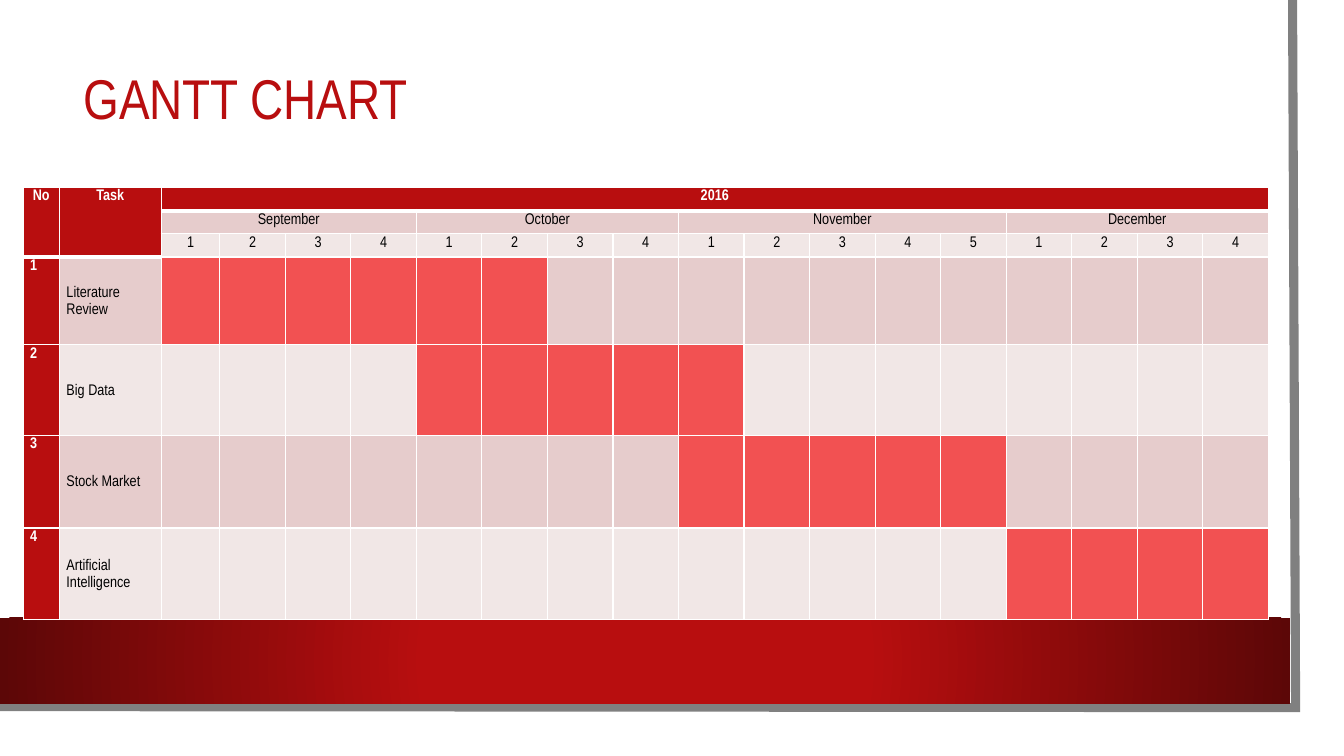
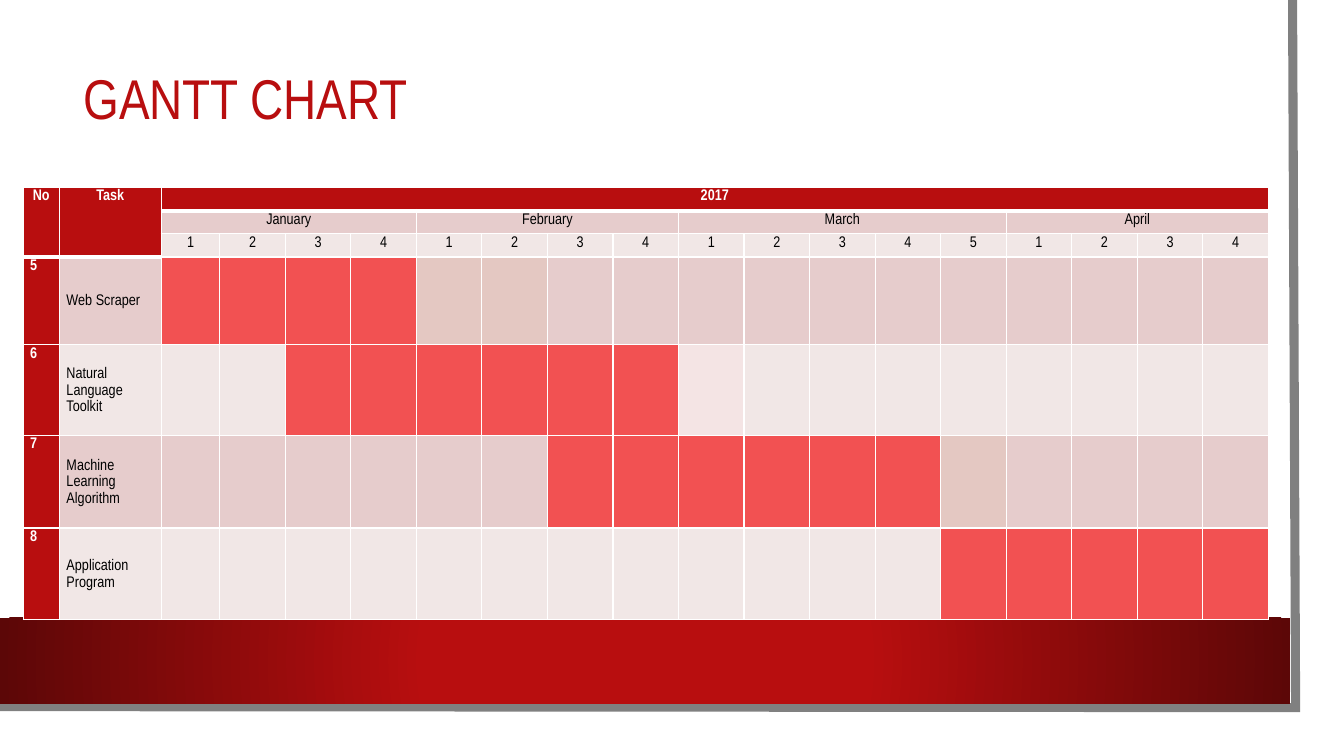
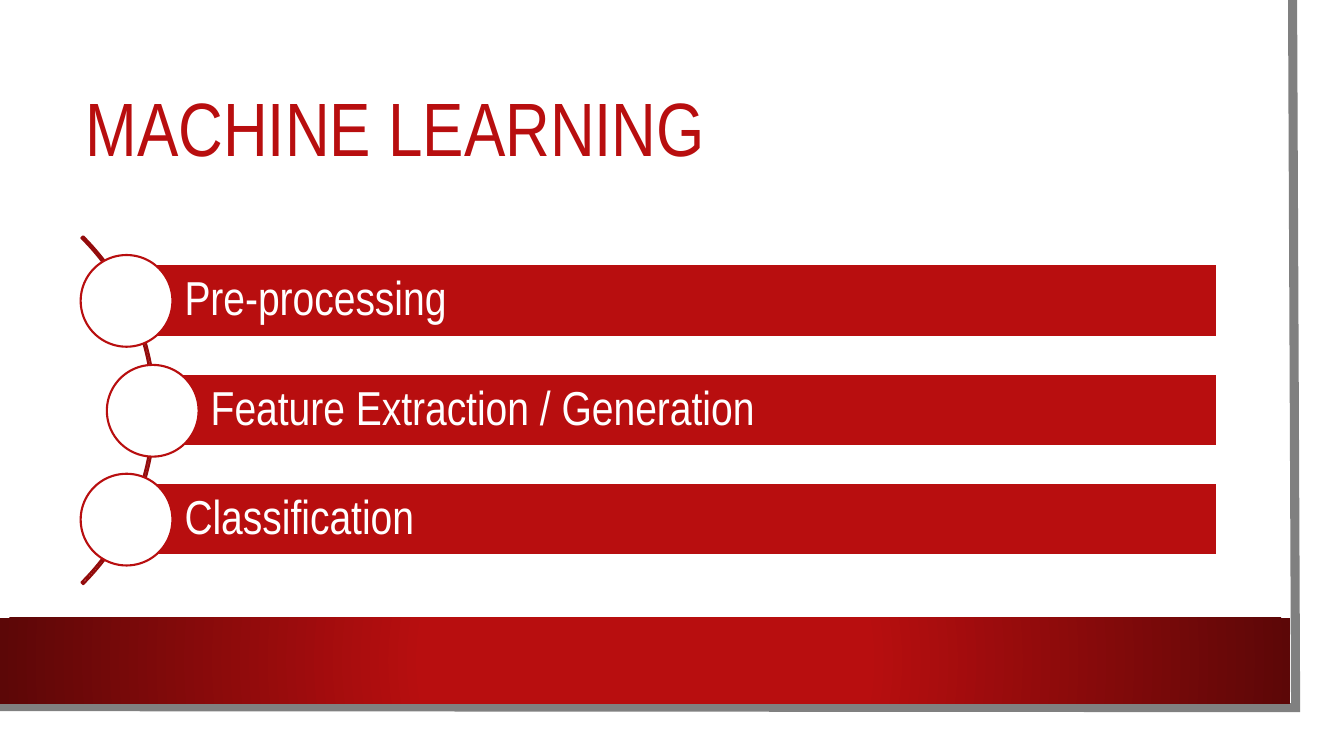
from lxml import etree
from pptx import Presentation
from pptx.dml.color import RGBColor
from pptx.enum.shapes import MSO_SHAPE
from pptx.enum.text import MSO_ANCHOR, PP_ALIGN
from pptx.oxml import parse_xml
from pptx.oxml.ns import nsdecls, qn
from pptx.util import Pt

RECT, OVAL, ARC = MSO_SHAPE.RECTANGLE, MSO_SHAPE.OVAL, MSO_SHAPE.BLOCK_ARC
TOP, MIDDLE = MSO_ANCHOR.TOP, MSO_ANCHOR.MIDDLE
LEFT, CENTER = PP_ALIGN.LEFT, PP_ALIGN.CENTER

PX = 9144
FONT = "Arial Narrow"
WHITE, BLACK, GRAY = "FFFFFF", "000000", "808080"
RED, DARK_RED, ARC_RED = "B80E0F", "5C0707", "930B0C"
BUSY, ROSE, PALE = "F25152", "E6CCCC", "F1E7E6"
TAN, PINK = "E4C8C2", "F4E4E4"

COLUMNS = [36, 101, 58] + [65] * 16
ROWS = [23, 23, 23, 87, 90, 92, 91]
WEEKS = [4, 4, 5, 4]


def px(n):
    return n * PX


def rgb(color):
    return RGBColor.from_string(color)


def put_text(tf, text, box=None, size=11, color=BLACK, bold=False, align=LEFT,
             anchor=TOP, spacing=0.9, insets=(10, 5, 10, 5)):
    box = tf if box is None else box
    tf.word_wrap = True
    box.vertical_anchor = anchor
    (box.margin_left, box.margin_top,
     box.margin_right, box.margin_bottom) = map(px, insets)
    p = tf.paragraphs[0]
    p.alignment = align
    p.line_spacing = spacing
    r = p.add_run()
    r.text = text
    r.font.name = FONT
    r.font.size = Pt(size)
    r.font.bold = bold
    r.font.color.rgb = rgb(color)


def style_shape(sp, fill=None, line=None, width=1.5):
    sp.shadow.inherit = False
    if fill:
        sp.fill.solid()
        sp.fill.fore_color.rgb = rgb(fill)
    else:
        sp.fill.background()
    if line:
        sp.line.color.rgb = rgb(line)
        sp.line.width = Pt(width)
    else:
        sp.line.fill.background()


def add_shape(s, kind, x, y, w, h, **style):
    sp = s.shapes.add_shape(kind, px(x), px(y), px(w), px(h))
    style_shape(sp, **style)
    return sp


def fill_radial(sp, inner, outer):
    old = sp._element.spPr.find(qn("a:noFill"))
    grad = parse_xml(
        f'<a:gradFill {nsdecls("a")} rotWithShape="1"><a:gsLst>'
        f'<a:gs pos="34000"><a:srgbClr val="{inner}"/></a:gs>'
        f'<a:gs pos="100000"><a:srgbClr val="{outer}"/></a:gs></a:gsLst>'
        '<a:path path="circle"><a:fillToRect l="50000" t="50000" '
        'r="50000" b="50000"/></a:path></a:gradFill>')
    old.getparent().replace(old, grad)


def add_edge(s):
    fb = s.shapes.build_freeform(1282, 0, scale=PX)
    fb.add_line_segments([(1285, 702), (-3, 701)], close=False)
    edge = fb.convert_to_shape()
    style_shape(edge, line=GRAY, width=6.5)
    ln = edge._element.spPr.find(qn("a:ln"))
    etree.SubElement(ln, qn("a:miter"), lim="800000")


def add_slide(prs, title, box, size):
    s = prs.slides.add_slide(prs.slide_layouts[6])
    add_edge(s)
    fill_radial(add_shape(s, RECT, 0, 613, 1280, 85), RED, DARK_RED)
    tb = s.shapes.add_textbox(*map(px, box))
    put_text(tb.text_frame, title, size=size, color=RED, anchor=MIDDLE)
    return s


def set_border(cell, side, width):
    ln = etree.SubElement(cell._tc.get_or_add_tcPr(), qn(f"a:ln{side}"),
                          w=str(Pt(width)))
    fill = etree.SubElement(ln, qn("a:solidFill"))
    etree.SubElement(fill, qn("a:srgbClr"), val=WHITE)


def is_head(row, col):
    return row == 0 or (0 < row < 3 and col < 2)


def style_cell(table, row, col, fill, text="", **fmt):
    cell = table.cell(row, col)
    head = is_head(row, col)
    below_head = row > 0 and is_head(row - 1, col) and not head
    for side, thick in (("L", False), ("R", False),
                        ("T", below_head), ("B", head)):
        set_border(cell, side, 3 if thick else 1)
    cell.fill.solid()
    cell.fill.fore_color.rgb = rgb(fill)
    put_text(cell.text_frame, text, box=cell, spacing=1.15,
             insets=(7, 0, 7, 0), **fmt)


def merge(table, row, col, rows, cols):
    table.cell(row, col).merge(table.cell(row + rows - 1, col + cols - 1))


def add_gantt(s, year, months, first, tasks):
    frame = s.shapes.add_table(len(ROWS), len(COLUMNS), px(23), px(186),
                               px(sum(COLUMNS)), px(sum(ROWS)))
    table = frame.table
    table.first_row = table.horz_banding = False
    for column, width in zip(table.columns, COLUMNS):
        column.width = px(width)
    for row, height in zip(table.rows, ROWS):
        row.height = px(height)

    heads = {(0, 0): "No", (0, 1): "Task", (0, 2): year}
    col = 2
    spans = [(0, 0, 3, 1), (0, 1, 3, 1), (0, 2, 1, sum(WEEKS))]
    for month, weeks in zip(months, WEEKS):
        heads[1, col] = month
        spans.append((1, col, 1, weeks))
        for week in range(weeks):
            heads[2, col + week] = str(week + 1)
        col += weeks
    for row in range(3):
        for col in range(len(COLUMNS)):
            head = is_head(row, col)
            fill = RED if head else (ROSE if row == 1 else PALE)
            style_cell(table, row, col, fill, heads.get((row, col), ""),
                       color=WHITE if head else BLACK, bold=head, align=CENTER)
    for span in spans:
        merge(table, *span)

    for i, (name, start, length, tints) in enumerate(tasks):
        row, band = i + 3, PALE if i % 2 else ROSE
        style_cell(table, row, 0, RED, str(first + i), color=WHITE, bold=True)
        style_cell(table, row, 1, band, name, anchor=MIDDLE)
        for week in range(1, sum(WEEKS) + 1):
            busy = start <= week < start + length
            style_cell(table, row, week + 1,
                       BUSY if busy else tints.get(week, band))


def add_steps(s, steps):
    arc = add_shape(s, ARC, -334, 163, 488, 488, line=ARC_RED)
    for i, value in enumerate((189, 27, 1 / 200)):
        arc.adjustments[i] = value
    for i, step in enumerate(steps):
        indent = 26 * (i % 2)
        drop = (217 * i + 1) // 2
        bar = add_shape(s, RECT, 126 + indent, 262 + drop, 1081 - indent, 72,
                        fill=RED, line=WHITE)
        put_text(bar.text_frame, step, size=34, color=WHITE, anchor=MIDDLE,
                 insets=(57, 9, 9, 9))
        add_shape(s, OVAL, 80 + indent, 253 + drop, 91, 91,
                  fill=WHITE, line=RED)


def main():
    prs = Presentation()
    prs.slide_width, prs.slide_height = px(1333), px(750)
    plans = [
        ("2016", ["September", "October", "November", "December"], 1, [
            ("Literature Review", 1, 6, {}),
            ("Big Data", 5, 5, {}),
            ("Stock Market", 9, 5, {}),
            ("Artificial Intelligence", 14, 4, {})]),
        ("2017", ["January", "February", "March", "April"], 5, [
            ("Web Scraper", 1, 4, {5: TAN, 6: TAN}),
            ("Natural Language Toolkit", 3, 6, {9: PINK}),
            ("Machine Learning Algorithm", 7, 6, {13: TAN}),
            ("Application Program", 13, 5, {})]),
    ]
    for plan in plans:
        s = add_slide(prs, "GANTT CHART", (73, 64, 1137, 73), 40)
        add_gantt(s, *plan)
    s = add_slide(prs, "MACHINE LEARNING", (75, 75, 1137, 112), 54)
    add_steps(s, ["Pre-processing", "Feature Extraction / Generation",
                  "Classification"])
    prs.save("out.pptx")


if __name__ == "__main__":
    main()
